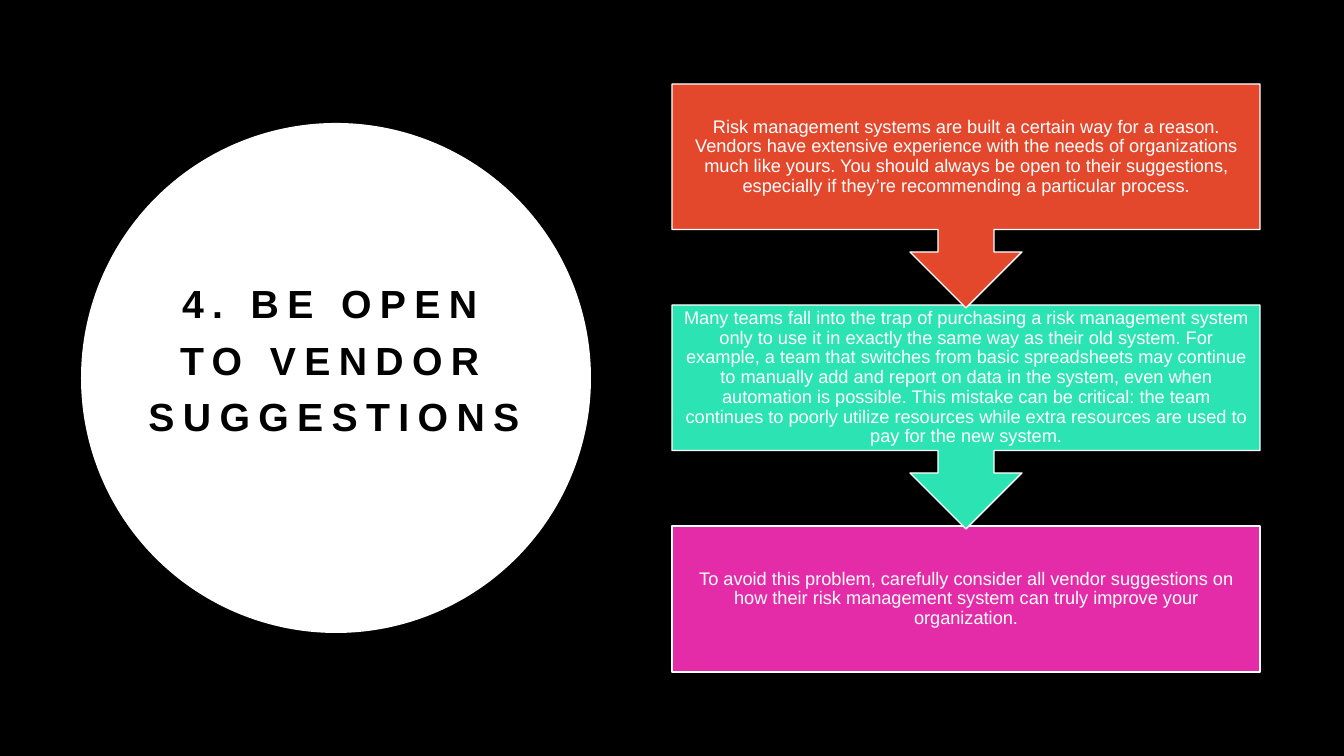
from dataclasses import dataclass

from lxml.etree import SubElement
from pptx import Presentation
from pptx.dml.color import RGBColor
from pptx.enum.shapes import MSO_SHAPE
from pptx.enum.text import MSO_ANCHOR, MSO_AUTO_SIZE, PP_ALIGN
from pptx.oxml.ns import qn
from pptx.util import Pt

SLIDE_W, SLIDE_H = 1344, 756
SCALE = 12192000 / SLIDE_W


@dataclass(frozen=True)
class Theme:
    """Colours, font and type sizes of the slide."""
    font: str = "Arial"
    black: str = "000000"
    white: str = "FFFFFF"
    steps: tuple = ("E4482C", "2CE4B3", "E42CA9")
    title_size: int = 28
    title_tracking: int = 6
    step_size: int = 13


THEME = Theme()
TITLE = "4. BE OPEN TO VENDOR SUGGESTIONS"
STEPS = (
    "Risk management systems are built a certain way for a reason. Vendors have "
    "extensive experience with the needs of organizations much like yours. You should "
    "always be open to their suggestions, especially if they’re recommending a "
    "particular process.",
    "Many teams fall into the trap of purchasing a risk management system only to use "
    "it in exactly the same way as their old system. For example, a team that switches "
    "from basic spreadsheets may continue to manually add and report on data in the "
    "system, even when automation is possible. This mistake can be critical: the team "
    "continues to poorly utilize resources while extra resources are used to pay for "
    "the new system.",
    "To avoid this problem, carefully consider all vendor suggestions on how their risk "
    "management system can truly improve your organization.",
)
STEP_X, STEP_Y, STEP_W, STEP_PITCH = 672, 84, 588, 221
BOX_H, CALLOUT_H = 146, 224


def px(n):
    """Turn px into EMU."""
    return round(n * SCALE)


def rgb(code):
    """Turn a hex code into a colour."""
    return RGBColor.from_string(code)


def add_panel(s, kind, box, fill, line=None):
    """Add a filled preset shape without shadow."""
    sp = s.shapes.add_shape(kind, *map(px, box))
    sp.shadow.inherit = False
    sp.fill.solid()
    sp.fill.fore_color.rgb = rgb(fill)
    if line:
        sp.line.color.rgb = rgb(line)
        sp.line.width = Pt(1)
    else:
        sp.line.fill.background()
    return sp


def set_text(sp, text, size, color, spacing, insets, bold=False):
    """Write one centred paragraph into a shape."""
    tf = sp.text_frame
    tf.text = text
    tf.word_wrap = True
    tf.auto_size = MSO_AUTO_SIZE.NONE
    tf.vertical_anchor = MSO_ANCHOR.MIDDLE
    tf.margin_left, tf.margin_top, tf.margin_right, tf.margin_bottom = map(px, insets)
    p = tf.paragraphs[0]
    p.alignment = PP_ALIGN.CENTER
    p.line_spacing = spacing
    r = p.runs[0]
    r.font.name = THEME.font
    r.font.size = Pt(size)
    r.font.bold = bold
    r.font.color.rgb = rgb(color)
    return r


def add_title(s):
    """Place the tracked title over a white circle."""
    circle = add_panel(s, MSO_SHAPE.OVAL, (81, 123, 510, 510), THEME.white)
    title = s.shapes.title
    title.element.addprevious(circle.element)
    title.left, title.top, title.width, title.height = map(px, (133, 252, 402, 252))
    r = set_text(title, TITLE, THEME.title_size, THEME.black, 1.2, (10, 5, 10, 51), True)
    r.font._element.set("spc", str(THEME.title_tracking * 100))


def add_step(s, i):
    """Add one step; all but the last point down to the next."""
    last = i == len(STEPS) - 1
    kind = MSO_SHAPE.RECTANGLE if last else MSO_SHAPE.DOWN_ARROW_CALLOUT
    height = BOX_H if last else CALLOUT_H
    box = (STEP_X, STEP_Y + i * STEP_PITCH, STEP_W, height)
    sp = add_panel(s, kind, box, THEME.steps[i], THEME.white)
    set_text(sp, STEPS[i], THEME.step_size, THEME.white, 0.9, (10, 0, 10, 0))
    pPr = sp.text_frame.paragraphs[0]._p.get_or_add_pPr()
    after = SubElement(pPr, qn("a:spcAft"))
    SubElement(after, qn("a:spcPct")).set("val", "35000")


def main():
    """Build and save the slide."""
    prs = Presentation()
    prs.slide_width, prs.slide_height = px(SLIDE_W), px(SLIDE_H)
    s = prs.slides.add_slide(prs.slide_layouts[5])
    s.background.fill.solid()
    s.background.fill.fore_color.rgb = rgb(THEME.black)
    add_title(s)
    for i in reversed(range(len(STEPS))):
        add_step(s, i)
    prs.save("out.pptx")


if __name__ == "__main__":
    main()
